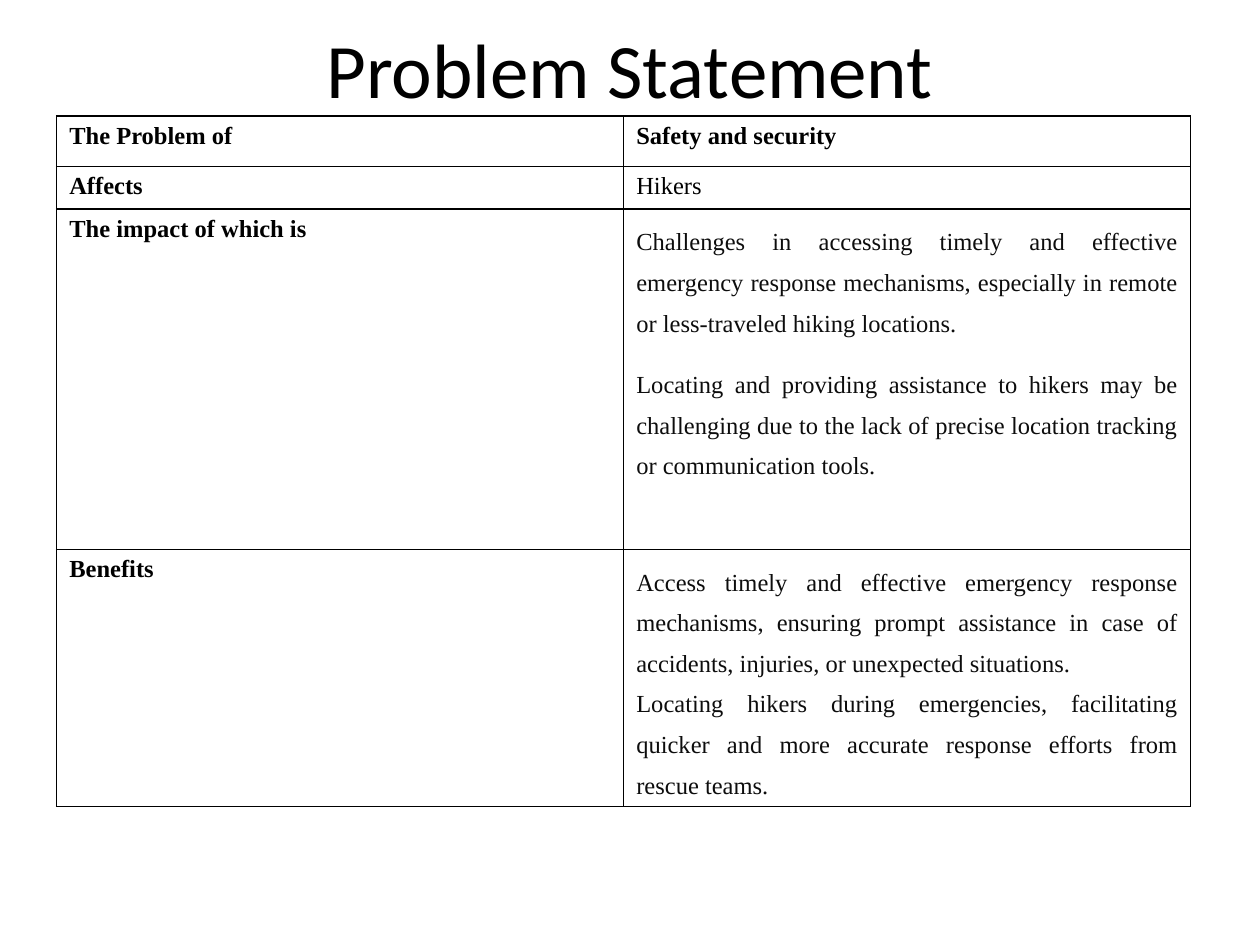
"""Build the Problem Statement slide: a title above a two-column table."""
from lxml import etree
from pptx import Presentation
from pptx.dml.color import RGBColor
from pptx.enum.text import MSO_ANCHOR, PP_ALIGN
from pptx.oxml.ns import qn
from pptx.util import Inches, Pt

LEFT, CENTER, JUSTIFY = PP_ALIGN.LEFT, PP_ALIGN.CENTER, PP_ALIGN.JUSTIFY
MIDDLE, TOP = MSO_ANCHOR.MIDDLE, MSO_ANCHOR.TOP
BLACK, INK, WHITE = "000000", "0D0D0D", "FFFFFF"


def rgb(color):
    return RGBColor.from_string(color)


def write(p, text, color, para, font):
    r = p.add_run()
    r.text = text
    r.font.color.rgb = rgb(color)
    for target, values in ((p, para), (r.font, font)):
        for name, value in values.items():
            setattr(target, name, value)


prs = Presentation()
prs.slide_width, prs.slide_height = Inches(10), Inches(7.5)
W, H = prs.slide_width, prs.slide_height
s = prs.slides.add_slide(prs.slide_layouts[5])

title = s.shapes.title
box = {"left": int(W * 0.05), "top": 0, "width": int(W * 0.9), "height": Inches(1.08)}
for name, value in box.items():
    setattr(title, name, value)
tf = title.text_frame
tf.vertical_anchor = MIDDLE
write(tf.paragraphs[0], "Problem Statement", BLACK,
      {"alignment": CENTER}, {"name": "Calibri", "size": Pt(44)})

rows = [
    (0.4, "The Problem of", ["Safety and security"]),
    (0.34, "Affects", ["Hikers"]),
    (2.7, "The impact of which is", [
        "Challenges in accessing timely and effective emergency response mechanisms, "
        "especially in remote or less-traveled hiking locations.",
        "Locating and providing assistance to hikers may be challenging due to the lack "
        "of precise location tracking or communication tools.",
    ]),
    (2.04, "Benefits", [
        "Access timely and effective emergency response mechanisms, ensuring prompt "
        "assistance in case of accidents, injuries, or unexpected situations.",
        "Locating hikers during emergencies, facilitating quicker and more accurate "
        "response efforts from rescue teams.",
    ]),
]
height = sum(row[0] for row in rows)
table = s.shapes.add_table(len(rows), 2, Inches(0.45), Inches(0.92),
                           int(W * 0.9), Inches(height)).table
table.first_row = table.horz_banding = False
for col in table.columns:
    col.width = int(W * 0.45)

plain = {"alignment": LEFT}
prose = {"alignment": JUSTIFY, "line_spacing": 1.5}
for i, (row_height, label, texts) in enumerate(rows):
    table.rows[i].height = Inches(row_height)
    for j, paragraphs in enumerate(([label], texts)):
        cell = table.cell(i, j)
        cell.vertical_anchor = TOP
        tcPr = cell._tc.get_or_add_tcPr()
        for side in ("a:lnL", "a:lnR", "a:lnT", "a:lnB"):
            ln = etree.SubElement(tcPr, qn(side), w=str(Pt(1)))
            fill = etree.SubElement(ln, qn("a:solidFill"))
            etree.SubElement(fill, qn("a:srgbClr"), val=BLACK)
        cell.fill.solid()
        cell.fill.fore_color.rgb = rgb(WHITE)
        tf = cell.text_frame
        is_prose = len(paragraphs) > 1
        font = {"name": "Times New Roman", "size": Pt(14), "bold": j == 0 or i == 0}
        for k, text in enumerate(paragraphs):
            p = tf.add_paragraph() if k else tf.paragraphs[0]
            write(p, text, INK if is_prose else BLACK, prose if is_prose else plain, font)

table.cell(2, 1).text_frame.paragraphs[1].space_before = Pt(12)

prs.save("out.pptx")
